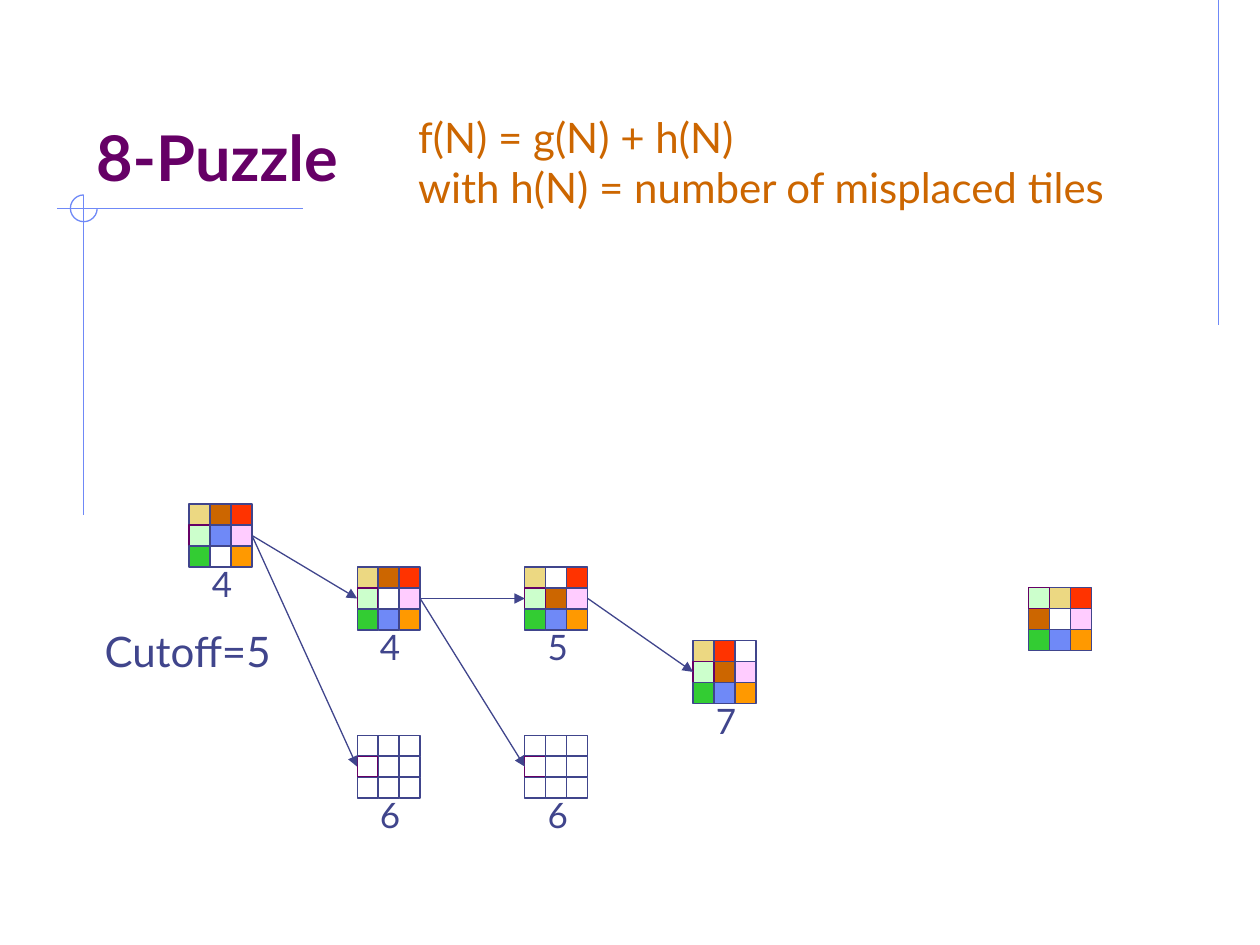
from pptx import Presentation
from pptx.dml.color import RGBColor
from pptx.enum.shapes import MSO_CONNECTOR as CONN, MSO_SHAPE as SHAPE
from pptx.enum.text import MSO_ANCHOR as ANCHOR, MSO_AUTO_SIZE as AUTO
from pptx.oxml.ns import qn
from pptx.util import Cm, Pt
from lxml.etree import SubElement

rgb = RGBColor.from_string
NAVY, PURPLE, BLUE, ORANGE, WHITE = "40458C", "660066", "6F89F7", "CC6600", "FFFFFF"

prs = Presentation()
prs.slide_width, prs.slide_height = Cm(25.4), Cm(19.05)
s = prs.slides.add_slide(prs.slide_layouts[6])


def add_text(x, y, w, h, lines, size, color, bold=False):
    sp = s.shapes.add_textbox(Cm(x), Cm(y), Cm(w), Cm(h))
    tf = sp.text_frame
    tf.word_wrap = False
    for i, line in enumerate(lines):
        p = tf.paragraphs[0] if i == 0 else tf.add_paragraph()
        r = p.add_run()
        r.text = line
        r.font.name, r.font.size, r.font.bold = "Lato", Pt(size), bold
        r.font.color.rgb = rgb(color)
    return sp


def add_line(x1, y1, x2, y2, color, arrow=False):
    c = s.shapes.add_connector(CONN.STRAIGHT, Cm(x1), Cm(y1), Cm(x2), Cm(y2))
    c.line.color.rgb = rgb(color)
    c.line.width = Pt(0.75)
    if arrow:
        SubElement(c.line._get_or_add_ln(), qn("a:tailEnd"), type="triangle")
    SubElement(c._element.spPr, qn("a:effectLst"))


for ends in [(24.56, 0, 24.56, 6.56), (6.1, 4.2, 1.14, 4.2), (1.69, 3.93, 1.69, 10.39)]:
    add_line(*ends, BLUE)

arc = s.shapes.add_shape(SHAPE.ARC, Cm(1.42), Cm(3.93), Cm(0.54), Cm(0.54))
arc.adjustments[0], arc.adjustments[1] = 0, 162
arc.shadow.inherit = False
arc.fill.background()
arc.line.color.rgb = rgb(BLUE)
arc.line.width = Pt(0.75)

title = add_text(1.69, 0.85, 21.59, 3.18, ["8-Puzzle"], 36, PURPLE, bold=True)
title.text_frame.word_wrap = True
title.text_frame.vertical_anchor = ANCHOR.BOTTOM
add_text(8.18, 2.12, 15.33, 2.29,
         ["f(N) = g(N) + h(N)", "with h(N) = number of misplaced tiles"], 24, ORANGE)
add_text(1.86, 12.49, 3.93, 1.28, ["Cutoff=5"], 24, NAVY)

tiles = {"Y": "ECD882", "N": ORANGE, "M": "CCFFCC", "B": BLUE, "P": "FFCCFF",
         "G": "33CC33", "W": WHITE, "O": "FF9900", "R": "FF3300"}
side = 1.27
cell = Cm(side) // 3
boards = [
    (3.81, 10.16, "YNRMBPGWO", "4", True),
    (20.74, 11.85, "MYRNWPGBO", "", True),
    (7.2, 11.43, "YNRMWPGBO", "4", True),
    (7.2, 14.82, "YNRMBPGWO", "6", False),
    (10.58, 14.82, "YNRMWPGBO", "6", False),
    (10.58, 11.43, "YWRMNPGBO", "5", True),
    (13.97, 12.91, "YRWMNPGBO", "7", True),
]
for x, y, layout, value, colored in boards:
    if value:
        label = add_text(x + 0.21, y + 1.06, 0.91, 1.12, [value], 20, NAVY)
        label.text_frame.auto_size = AUTO.SHAPE_TO_FIT_TEXT
        if not colored:
            label.fill.solid()
            label.fill.fore_color.rgb = rgb(WHITE)
    for name, color in tiles.items():
        row, col = divmod(layout.index(name), 3)
        sp = s.shapes.add_shape(SHAPE.RECTANGLE, Cm(x) + col * cell, Cm(y) + row * cell, cell, cell)
        sp.shadow.inherit = False
        sp.fill.solid()
        sp.fill.fore_color.rgb = rgb(color if colored else WHITE)
        sp.line.color.rgb = rgb(PURPLE if name == "M" else NAVY)
        sp.line.width = Pt(0.75)

for parent, child in [(0, 2), (0, 3), (2, 4), (2, 5), (5, 6)]:
    x1, y1 = boards[parent][:2]
    x2, y2 = boards[child][:2]
    add_line(x1 + side, y1 + side / 2, x2, y2 + side / 2, NAVY, arrow=True)

prs.save("out.pptx")
